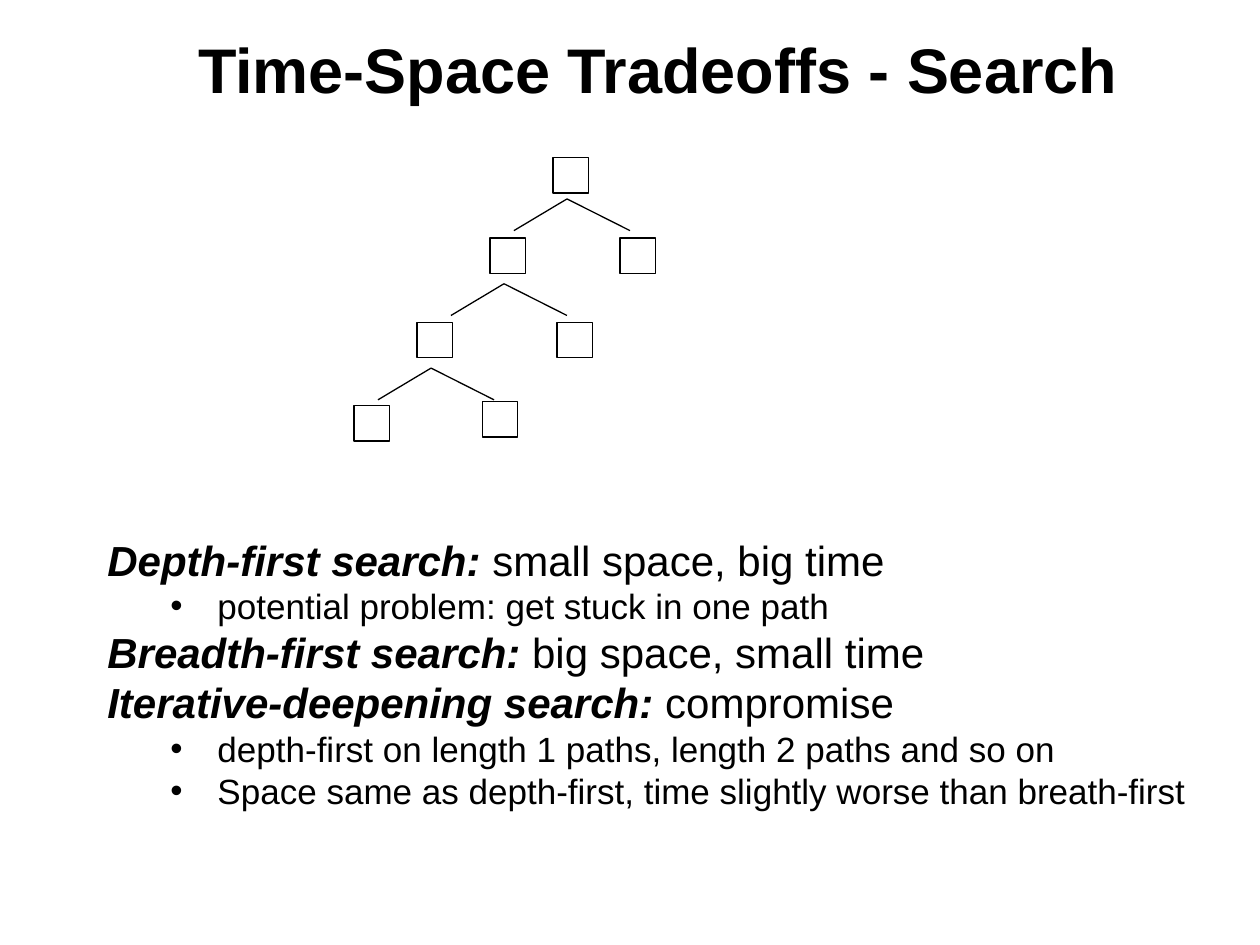
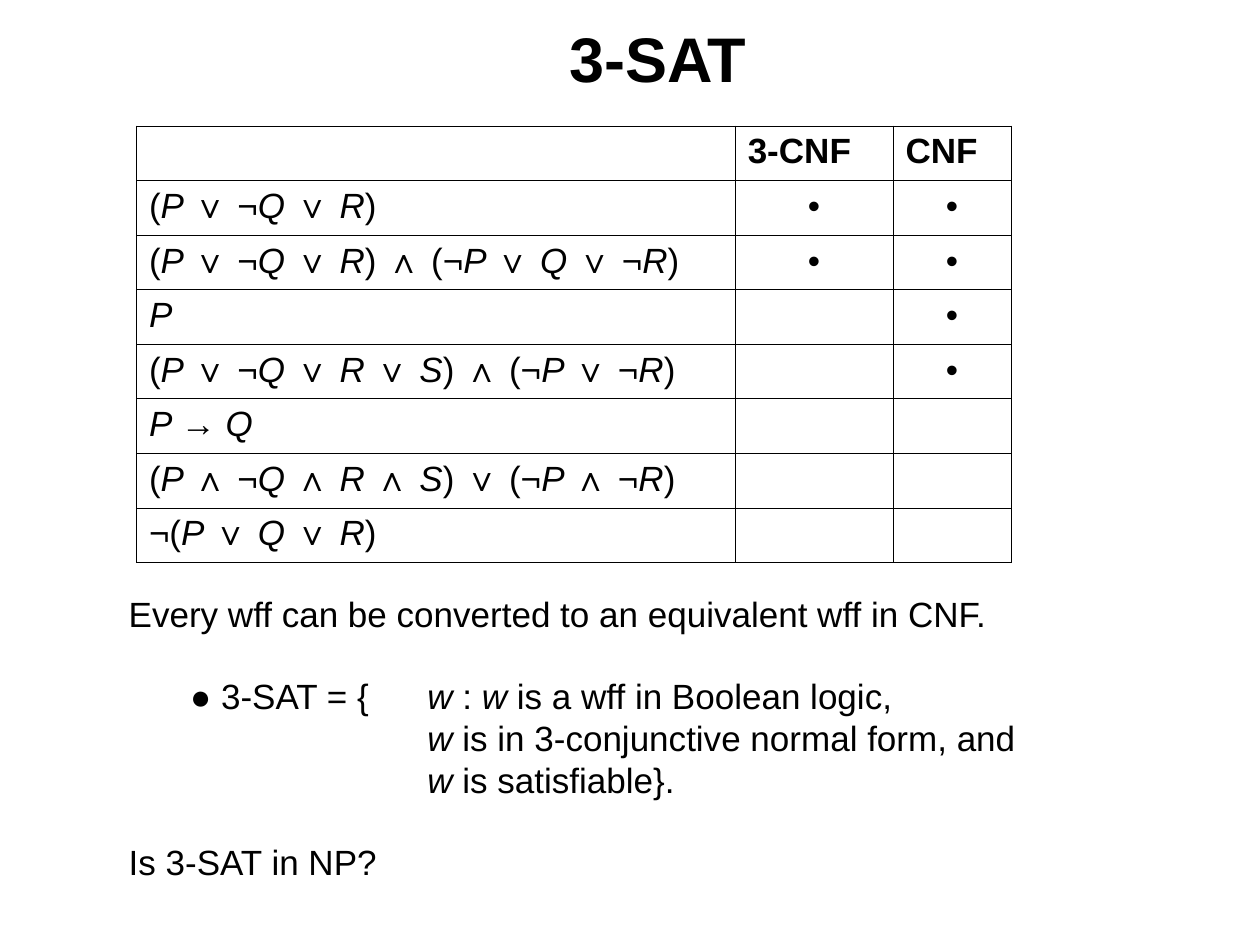
from pptx import Presentation
from pptx.dml.color import RGBColor
from pptx.enum.shapes import MSO_CONNECTOR, MSO_SHAPE
from pptx.enum.text import MSO_ANCHOR, MSO_AUTO_SIZE, PP_ALIGN
from pptx.oxml.ns import qn
from pptx.util import Cm, Pt
from lxml import etree

BLACK = RGBColor(0, 0, 0)
WHITE = RGBColor(255, 255, 255)
FONT = "Arial"
LINE = MSO_CONNECTOR.STRAIGHT
RECT = MSO_SHAPE.RECTANGLE
CENTER, LEFT = PP_ALIGN.CENTER, PP_ALIGN.LEFT
MIDDLE, TOP = MSO_ANCHOR.MIDDLE, MSO_ANCHOR.TOP

# Text between asterisks is emphasised.
# Paragraph kinds: size, left margin, hanging indent (cm), space before (pt), bullet
KINDS = {
    "search": (24, 0, 0, 0, None),
    "note": (20, 2.22, -0.95, 0, "•"),
    "claim": (20, 0, 0, 0, None),
    "set": (20, 6.02, -4.78, 23, None),
    "rule": (20, 6.02, 0, 0, None),
    "ask": (20, 0, 0, 23, None),
}
SEARCHES = [
    ("search", "*Depth-first search:* small space, big time"),
    ("note", "potential problem: get stuck in one path"),
    ("search", "*Breadth-first search:* big space, small time"),
    ("search", "*Iterative-deepening search:* compromise"),
    ("note", "depth-first on length 1 paths, length 2 paths and so on"),
    ("note", "Space same as depth-first, time slightly worse than breath-first"),
]
SAT = [
    ("claim", "Every wff can be converted to an equivalent wff in CNF."),
    ("set", "● 3-SAT = {\t*w* : *w* is a wff in Boolean logic,"),
    ("rule", "*w* is in 3-conjunctive normal form, and"),
    ("rule", "*w* is satisfiable}."),
    ("ask", "Is 3-SAT in NP?"),
]
FORMS = [
    ("", "3-CNF", "CNF"),
    ("(*P *∨ ¬*Q *∨ *R*)", "•", "•"),
    ("(*P *∨ ¬*Q *∨ *R*) ∧ (¬*P *∨ *Q *∨ ¬*R*)", "•", "•"),
    ("*P*", "", "•"),
    ("(*P *∨ ¬*Q *∨ *R *∨ *S*) ∧ (¬*P *∨ ¬*R*)", "", "•"),
    ("*P *→ *Q*", "", ""),
    ("(*P *∧ ¬*Q *∧ *R *∧ *S*) ∨ (¬*P *∧ ¬*R*)", "", ""),
    ("¬(*P *∨ *Q *∨ *R*)", "", ""),
]
WIDTHS = (12.07, 3.18, 2.38)
ROW = 1.1

# Search tree, in cm
NODE = 0.71
NODES = [(11.15, 3.18), (9.88, 4.8), (12.5, 4.8), (8.41, 6.5), (11.23, 6.5),
         (7.14, 8.18), (9.73, 8.1)]
FORKS = [(11.43, 4.01), (10.16, 5.72), (8.69, 7.42)]
ARMS, DROP = (-1.07, 1.27), 0.64


def place(shape, left, top, width, height):
    shape.left, shape.top = Cm(left), Cm(top)
    shape.width, shape.height = Cm(width), Cm(height)


def style(para, size, bold=False, align=LEFT):
    para.alignment = align
    font = para.font
    font.name, font.size, font.bold = FONT, Pt(size), bold
    font.color.rgb = BLACK


def write(para, text, bold=False):
    """Add runs; parts between asterisks are italic, and bold if asked."""
    for i, part in enumerate(text.split("*")):
        if part:
            run = para.add_run()
            run.text = part
            if i % 2:
                run.font.italic = True
                if bold:
                    run.font.bold = True


def indent(para, left, hang, mark):
    props = para._p.get_or_add_pPr()
    props.set("marL", str(Cm(left)))
    props.set("indent", str(Cm(hang)))
    if mark:
        etree.SubElement(props, qn("a:buChar"), char=mark)
    else:
        etree.SubElement(props, qn("a:buNone"))
    if hang and not mark:
        # A stop at the margin lets a tab reach the hanging indent.
        tabs = etree.SubElement(props, qn("a:tabLst"))
        etree.SubElement(tabs, qn("a:tab"), pos="0", algn="l")


def start(deck, title, height, items, box):
    """Add a slide with its title and its list."""
    slide = deck.slides.add_slide(deck.slide_layouts[1])
    head, body = slide.placeholders
    place(head, 1.47, 0.2, 23.93, height)
    place(body, *box)
    for shape, anchor in ((head, MIDDLE), (body, TOP)):
        frame = shape.text_frame
        frame.auto_size = MSO_AUTO_SIZE.NONE
        frame.word_wrap = True
        frame.vertical_anchor = anchor
    head.text_frame.margin_right = Cm(0.6)
    para = head.text_frame.paragraphs[0]
    write(para, title)
    style(para, 36, True, CENTER)
    frame = body.text_frame
    for i, (kind, text) in enumerate(items):
        size, left, hang, gap, mark = KINDS[kind]
        para = frame.add_paragraph() if i else frame.paragraphs[0]
        indent(para, left, hang, mark)
        para.space_before = Pt(gap)
        style(para, size)
        write(para, text, kind == "search")
    return slide


def draw_tree(slide):
    for x, y in NODES:
        node = slide.shapes.add_shape(RECT, Cm(x), Cm(y), Cm(NODE), Cm(NODE))
        node.shadow.inherit = False
        node.fill.solid()
        node.fill.fore_color.rgb = WHITE
        node.line.color.rgb = BLACK
        node.line.width = Pt(0.75)
    for x, y in FORKS:
        for arm in ARMS:
            edge = slide.shapes.add_connector(
                LINE, Cm(x), Cm(y), Cm(x + arm), Cm(y + DROP))
            edge.line.color.rgb = BLACK
            edge.line.width = Pt(0.75)
            etree.SubElement(edge._element.spPr, qn("a:effectLst"))


def rule(cell):
    """Draw a thin line on each side of the cell."""
    props = cell._tc.get_or_add_tcPr()
    for side in ("lnL", "lnR", "lnT", "lnB"):
        line = etree.SubElement(props, qn(f"a:{side}"), w=str(Pt(0.45)))
        fill = etree.SubElement(line, qn("a:solidFill"))
        etree.SubElement(fill, qn("a:srgbClr"), val=str(BLACK))


def draw_forms(slide):
    table = slide.shapes.add_table(
        len(FORMS), len(WIDTHS), Cm(2.75), Cm(2.54),
        Cm(sum(WIDTHS)), Cm(ROW * len(FORMS))).table
    table.first_row = table.horz_banding = False
    for col, width in zip(table.columns, WIDTHS):
        col.width = Cm(width)
    for r, texts in enumerate(FORMS):
        table.rows[r].height = Cm(ROW)
        for c, text in enumerate(texts):
            cell = table.cell(r, c)
            rule(cell)
            cell.fill.background()
            para = cell.text_frame.paragraphs[0]
            style(para, 20, r == 0, CENTER if r and c else LEFT)
            write(para, text)


def main():
    deck = Presentation()
    deck.slide_width, deck.slide_height = Cm(25.4), Cm(19.05)
    draw_tree(start(deck, "Time-Space Tradeoffs - Search", 2.34, SEARCHES,
                    (1.91, 10.64, 23.06, 5.84)))
    draw_forms(start(deck, "3-SAT", 1.9, SAT, (2.34, 11.81, 22.43, 6.2)))
    deck.save("out.pptx")


if __name__ == "__main__":
    main()
